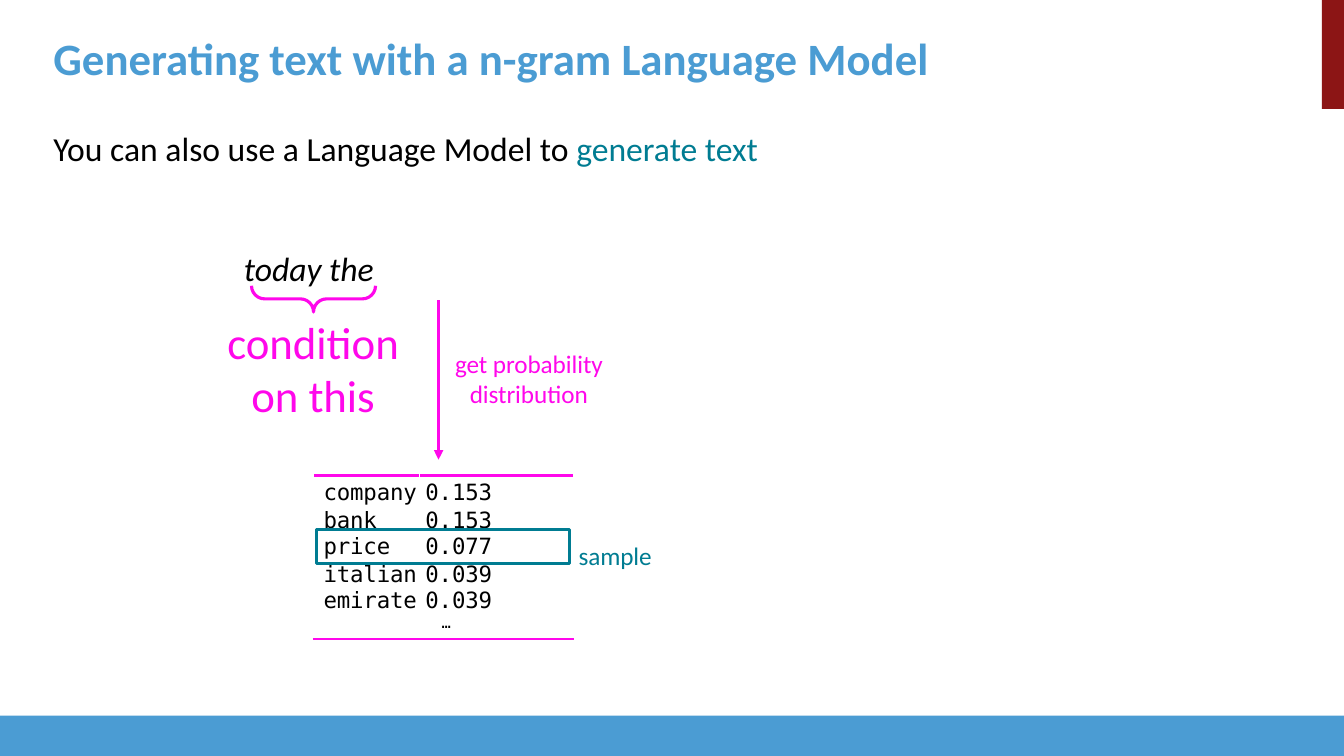
from pptx import Presentation
from pptx.dml.color import RGBColor
from pptx.enum.shapes import MSO_CONNECTOR as Connector, MSO_SHAPE as Shape
from pptx.enum.text import PP_ALIGN as Align
from pptx.oxml.ns import qn
from pptx.util import Inches, Pt
from lxml.etree import SubElement, Element

BLUE = RGBColor(0x4B, 0x9C, 0xD3)
RED = RGBColor(0x8C, 0x15, 0x15)
TEAL = RGBColor(0x00, 0x7C, 0x92)
PINK = RGBColor(0xFF, 0x07, 0xEB)
BLACK = RGBColor(0, 0, 0)
SANS = "Calibri"
MONO = "DejaVu Sans Mono"
STROKE = Pt(2.25)
ROWS = [
    ("company", "0.153", 0.34, None),
    ("bank", "0.153", 0.26, 16.6),
    ("price", "0.077", 0.26, 16.6),
    ("italian", "0.039", 0.28, 17.8),
    ("emirate", "0.039", 0.48, 16.5),
]


def add_span(para, text, size=18, color=BLACK, font=SANS, bold=False, italic=False, spacing=0):
    """Append a formatted run to a paragraph."""
    span = para.add_run()
    span.text = text
    span.font.name = font
    span.font.size = Pt(size)
    span.font.bold = bold
    span.font.italic = italic
    span.font.color.rgb = color
    if spacing:
        span.font._element.set("spc", str(spacing))


def set_para(para, indent=0, line=None, before=0, align=Align.LEFT):
    """Set the indent, spacing and alignment of a paragraph."""
    para.alignment = align
    if indent:
        para._p.get_or_add_pPr().set("marL", str(Inches(indent)))
    if line:
        para.line_spacing = Pt(line)
    if before:
        para.space_before = Pt(before)


def add_box(page, left, top, width, height, inset=0.01):
    """Add a wrapping text box and return its text frame."""
    box = page.shapes.add_textbox(Inches(left), Inches(top), Inches(width), Inches(height))
    frame = box.text_frame
    frame.word_wrap = True
    frame.margin_left = frame.margin_right = frame.margin_bottom = 0
    frame.margin_top = Inches(inset)
    return frame


def add_label(page, place, text, line=None, align=Align.LEFT, inset=0.01, **style):
    """Add a text box holding one paragraph in one style."""
    para = add_box(page, *place, inset=inset).paragraphs[0]
    set_para(para, line=line, align=align)
    add_span(para, text, **style)


def add_shape(page, kind, left, top, width, height, fill=None, line=None):
    """Add a preset shape with a plain fill or a plain outline."""
    shape = page.shapes.add_shape(kind, Inches(left), Inches(top), Inches(width), Inches(height))
    shape.shadow.inherit = False
    if fill:
        shape.fill.solid()
        shape.fill.fore_color.rgb = fill
    else:
        shape.fill.background()
    if line:
        shape.line.color.rgb = line
        shape.line.width = STROKE
    else:
        shape.line.fill.background()
    return shape


def add_arrow(page, x, top, bottom, color):
    """Add a vertical arrow pointing down."""
    arrow = page.shapes.add_connector(
        Connector.STRAIGHT, Inches(x), Inches(top), Inches(x), Inches(bottom))
    arrow.line.color.rgb = color
    arrow.line.width = STROKE
    SubElement(arrow.line._get_or_add_ln(), qn("a:tailEnd"), type="triangle")
    SubElement(arrow._element.spPr, qn("a:effectLst"))


def add_border(cell, side, color):
    """Draw a line on one side of a table cell."""
    border = Element(qn("a:" + side), w=str(STROKE))
    fill = SubElement(border, qn("a:solidFill"))
    SubElement(fill, qn("a:srgbClr"), val=str(color))
    cell._tc.get_or_add_tcPr().insert(0, border)


def add_word_table(page):
    """Add the table of next words and their probabilities."""
    widths = (1.05, 1.53)
    table = page.shapes.add_table(
        len(ROWS), 2, Inches(3.11), Inches(4.72), Inches(sum(widths)), Inches(1.62)).table
    table.first_row = table.horz_banding = False
    for column, width in zip(table.columns, widths):
        column.width = Inches(width)
    for index, (word, chance, height, line) in enumerate(ROWS):
        table.rows[index].height = Inches(height)
        for position, (text, indent) in enumerate(((word, 0.1), (chance, 0.06))):
            cell = table.cell(index, position)
            cell.fill.background()
            cell.margin_left = cell.margin_right = cell.margin_bottom = 0
            cell.margin_top = Inches(0 if index else 0.04)
            para = cell.text_frame.paragraphs[0]
            set_para(para, indent=indent, line=line)
            add_span(para, text, size=16, font=MONO, spacing=-10)
            if index == 0:
                add_border(cell, "lnT", PINK)
            if index == len(ROWS) - 1:
                add_border(cell, "lnB", PINK)
    para = table.cell(len(ROWS) - 1, 1).text_frame.add_paragraph()
    set_para(para, indent=0.22, line=13.1)
    add_span(para, "…", size=11, font=MONO)


def add_body(page):
    """Add the opening sentence and the start of the generated text."""
    frame = add_box(page, 0.53, 1.26, 7.07, 1.63)
    opening = frame.paragraphs[0]
    add_span(opening, "You can also use a Language Model to ", size=24)
    add_span(opening, "generate text", size=24, color=TEAL)
    start = frame.add_paragraph()
    set_para(start, indent=1.89, before=57)
    add_span(start, "today the", size=24, italic=True)


def main():
    """Build the slide and save it."""
    deck = Presentation()
    deck.slide_width, deck.slide_height = Inches(13.33), Inches(7.5)
    page = deck.slides.add_slide(deck.slide_layouts[6])

    add_shape(page, Shape.RECTANGLE, 13.11, 0, 0.22, 1.08, fill=RED)
    add_shape(page, Shape.RECTANGLE, 0, 7.1, 13.33, 0.4, fill=BLUE)
    add_label(page, (0.53, 0.29, 12.11, 0.54), "Generating text with a n-gram Language Model",
              size=32, color=BLUE, bold=True)
    add_body(page)

    brace = add_shape(page, Shape.LEFT_BRACE, 2.98, 2.35, 0.26, 1.23, line=PINK)
    brace.rotation = 270
    brace.adjustments[0] = 0.5
    add_label(page, (2.24, 3.07, 1.73, 1.09), "condition on this", line=37.9,
              align=Align.CENTER, inset=0.06, size=32, color=PINK, spacing=-5)

    add_word_table(page)
    add_arrow(page, 4.35, 2.98, 4.56, PINK)
    add_label(page, (4.49, 3.41, 1.51, 0.62), "get probability distribution", line=20.9,
              align=Align.CENTER, inset=0.06, color=PINK, spacing=-5)
    add_label(page, (5.74, 5.35, 0.76, 0.33), "sample", color=TEAL, spacing=-10)
    add_shape(page, Shape.RECTANGLE, 3.14, 5.25, 2.51, 0.34, line=TEAL)
    deck.save("out.pptx")


if __name__ == "__main__":
    main()
